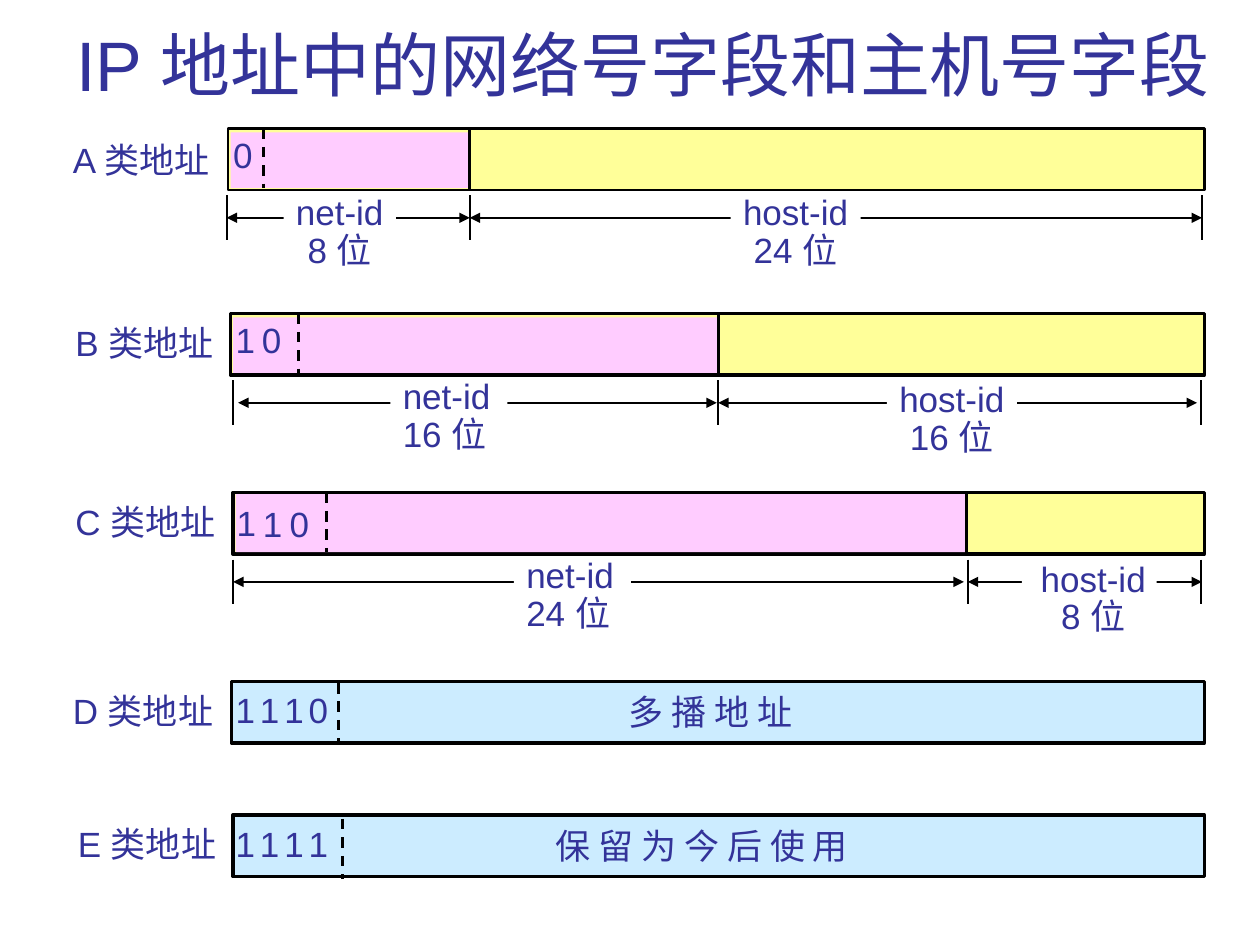
from dataclasses import dataclass

from lxml.etree import SubElement
from pptx import Presentation
from pptx.dml.color import RGBColor
from pptx.enum.dml import MSO_LINE
from pptx.enum.shapes import MSO_CONNECTOR, MSO_SHAPE
from pptx.enum.text import MSO_ANCHOR, MSO_AUTO_SIZE, PP_ALIGN
from pptx.oxml.ns import qn
from pptx.util import Cm, Pt

BLACK = RGBColor(0x00, 0x00, 0x00)
WHITE = RGBColor(0xFF, 0xFF, 0xFF)
NAVY = RGBColor(0x33, 0x33, 0x99)
YELLOW = RGBColor(0xFF, 0xFF, 0x99)
PINK = RGBColor(0xFF, 0xCC, 0xFF)
BLUE = RGBColor(0xCC, 0xEC, 0xFF)

LEFT, CENTER = PP_ALIGN.LEFT, PP_ALIGN.CENTER
BAR_RIGHT, BAR_H = 24.28, 1.24
TEXT_H = 1.09


@dataclass
class Diagram:
    slide: object
    font: str = "Arial"
    size: int = 20
    color: RGBColor = NAVY

    def style(self, font, size=None):
        values = {"name": self.font, "size": Pt(size or self.size)}
        for name, value in values.items():
            setattr(font, name, value)
        font.color.rgb = self.color

    def title(self, text, left, top, width, height):
        sp = self.slide.shapes.title
        box = {"left": left, "top": top, "width": width, "height": height}
        for name, value in box.items():
            setattr(sp, name, Cm(value))
        tf = sp.text_frame
        tf.auto_size = MSO_AUTO_SIZE.NONE
        tf.word_wrap = False
        tf.vertical_anchor = MSO_ANCHOR.BOTTOM
        p = tf.paragraphs[0]
        p.alignment = CENTER
        r = p.add_run()
        r.text = text
        self.style(r.font, 40)

    def rect(self, left, top, width, height, fill, line=None):
        sp = self.slide.shapes.add_shape(
            MSO_SHAPE.RECTANGLE, Cm(left), Cm(top), Cm(width), Cm(height))
        sp.shadow.inherit = False
        sp.fill.solid()
        sp.fill.fore_color.rgb = fill
        if line:
            sp.line.color.rgb = BLACK
            sp.line.width = Pt(line)
        else:
            sp.line.fill.background()

    def line(self, x1, y1, x2, y2, width=1.0, dash=False, arrows=False):
        c = self.slide.shapes.add_connector(
            MSO_CONNECTOR.STRAIGHT, Cm(x1), Cm(y1), Cm(x2), Cm(y2))
        c.line.color.rgb = BLACK
        c.line.width = Pt(width)
        if dash:
            c.line.dash_style = MSO_LINE.DASH
        if arrows:
            ln = c.line._get_or_add_ln()
            for end in ("a:headEnd", "a:tailEnd"):
                SubElement(ln, qn(end), type="triangle")
        SubElement(c._element.spPr, qn("a:effectLst"))

    def text(self, left, top, width, height, lines, align=LEFT, fill=None,
             spacing=None):
        """Each line is a list of (text, size) runs."""
        sp = self.slide.shapes.add_textbox(
            Cm(left), Cm(top), Cm(width), Cm(height))
        if fill:
            sp.fill.solid()
            sp.fill.fore_color.rgb = fill
        tf = sp.text_frame
        frame = {"word_wrap": True, "auto_size": MSO_AUTO_SIZE.NONE,
                 "margin_left": Cm(0.25 if align == LEFT else 0),
                 "margin_right": Cm(0)}
        for name, value in frame.items():
            setattr(tf, name, value)
        for i, runs in enumerate(lines):
            p = tf.add_paragraph() if i else tf.paragraphs[0]
            p.alignment = align
            if spacing:
                p.line_spacing = spacing
            for words, size in runs:
                r = p.add_run()
                r.text = words
                self.style(r.font, size)

    def label(self, left, top, width, words):
        self.text(left, top, width, TEXT_H, [[(words, None)]])

    def spaced_bits(self, left, top, bits):
        """Bits in one line, parted by small spaces."""
        runs = [(bits[0], None)]
        for bit in bits[1:]:
            runs += [(" ", 10), (bit, None)]
        self.text(left, top, 2.36, TEXT_H, [runs])

    def field(self, span, y, name, bits, left, top, width, align, mask=False):
        """A dimension arrow, broken by the field's name and length."""
        self.line(span[0], y, span[1], y, arrows=True)
        if mask:
            self.rect(left - 0.13, top + 0.23, width + 0.1, 0.64, WHITE)
        self.text(left, top, width, 1.78,
                  [[(name, None)], [(f"{bits} 位", None)]],
                  align, None if mask else WHITE, 0.9)

    def bar(self, left, top, fill, width=2.0):
        self.rect(left, top, BAR_RIGHT - left, BAR_H, fill, width)


# Classes with a net-id and a host-id
SPLIT_CLASSES = [
    dict(name="A", left=4.6, top=2.59, label=(1.22, 2.67), split=9.47,
         pink_gap=0.08, border=1.5, dash=5.31, ticks=(4.57, 9.47, 24.23),
         arrows=((4.57, 9.47), (9.47, 24.23)),
         net=(8, 5.72, 3.81, 2.26, CENTER), host=(24, 14.73, 3.81, 2.62, CENTER),
         bits=[("0", 4.45, 2.57)]),
    dict(name="B", left=4.65, top=6.32, label=(1.27, 6.35), split=14.48,
         pink_gap=0.08, border=2, dash=6.02, ticks=(4.7, 14.48, 24.21),
         arrows=((4.8, 14.45), (14.48, 24.13)),
         net=(16, 7.87, 7.52, 2.36, LEFT), host=(16, 17.88, 7.59, 2.62, CENTER),
         bits=[("1", 4.5, 6.3), ("0", 5.03, 6.3)]),
    dict(name="C", left=4.7, top=9.93, label=(1.27, 9.96), split=19.48,
         pink_gap=0.03, border=2, dash=6.58, ticks=(4.7, 19.51, 24.21),
         arrows=((4.7, 19.43), (19.51, 24.23)),
         net=(24, 10.36, 11.13, 2.36, LEFT),
         host=(8, 20.73, 11.2, 2.62, CENTER, True),
         bits=[("1", 4.52, 9.98), ("1", 5.05, 10.01), ("0", 5.59, 10.01)]),
]

# Classes with one field: name, bar left and top, label left, bits, dash x and
# gap, then the use with its left and width
WHOLE_CLASSES = [
    ("D", 4.67, 13.74, 1.22, "1110", 6.83, 0.03, "多 播 地 址", 12.42, 3.81),
    ("E", 4.7, 16.43, 1.32, "1111", 6.91, 0.08, "保 留 为 今 后 使 用", 10.95, 6.4),
]


def main():
    prs = Presentation()
    prs.slide_width, prs.slide_height = Cm(25.4), Cm(19.05)
    d = Diagram(prs.slides.add_slide(prs.slide_layouts[5]))
    d.title("IP 地址中的网络号字段和主机号字段", 1.09, 0.13, 23.75, 2.13)

    for c in SPLIT_CLASSES:
        left, top, split = c["left"], c["top"], c["split"]
        for span, name in zip(c["arrows"], ("net", "host")):
            d.field(span, top + 1.8, f"{name}-id", *c[name])
        d.bar(left, top, YELLOW, c["border"])
        gap = c["pink_gap"]
        d.rect(left + 0.05, top + gap, split - left - 0.07, 1.2 - gap, PINK)
        d.line(split, top, split, top + BAR_H, 1.5)
        d.line(c["dash"], top, c["dash"], top + 1.2, 1.5, dash=True)
        for x in c["ticks"]:
            d.line(x, top + 1.35, x, top + 2.24)
        d.label(*c["label"], 3.48, f"{c['name']} 类地址")
        for bit, x, y in c["bits"]:
            d.label(x, y, 0.89, bit)

    for name, left, top, label_x, bits, dash, gap, use, use_x, use_w in WHOLE_CLASSES:
        d.bar(left, top, BLUE)
        d.label(label_x, top + 0.03, 3.48, f"{name} 类地址")
        d.line(dash, top + gap, dash, top + gap + 1.22, 1.5, dash=True)
        d.spaced_bits(4.5, top + 0.02, bits)
        d.label(use_x, top + 0.06, use_w, use)

    prs.save("out.pptx")


if __name__ == "__main__":
    main()
